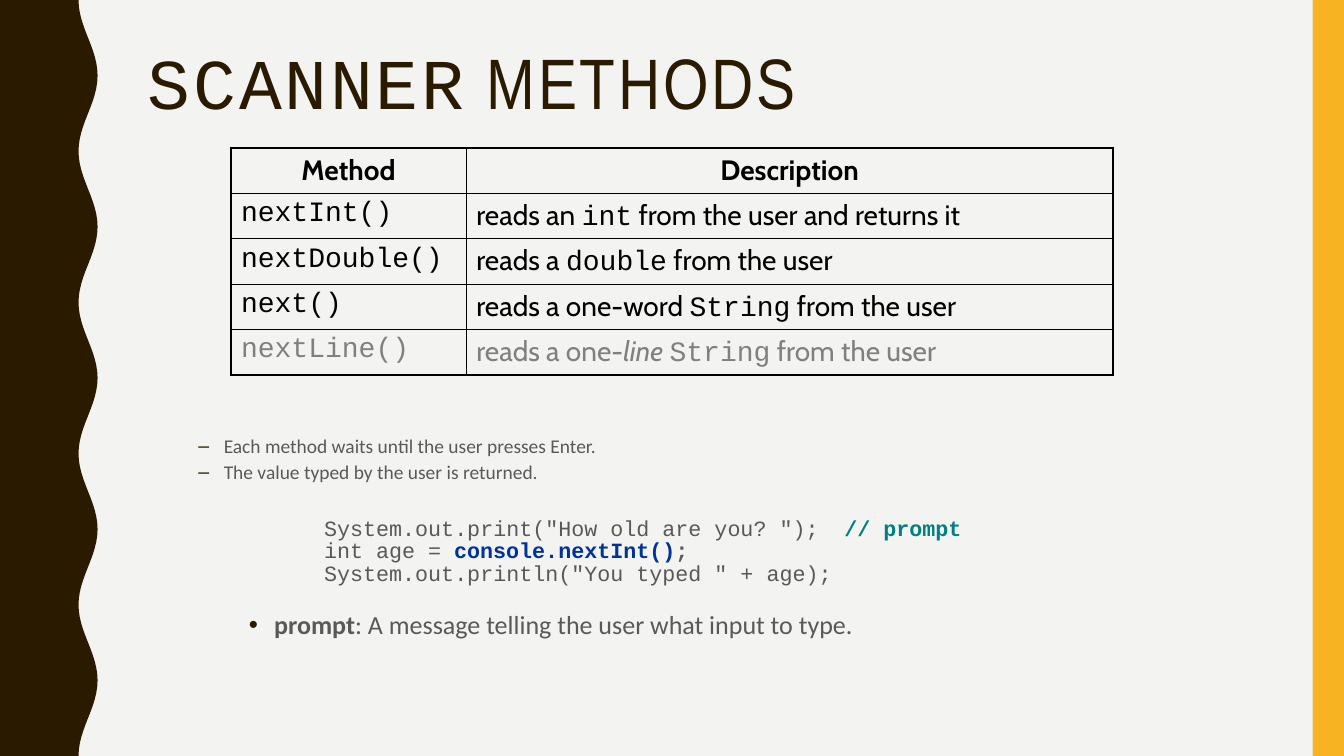
import math
from itertools import product

from lxml import etree
from pptx import Presentation
from pptx import util as u
from pptx.dml.color import RGBColor
from pptx.enum import shapes, text
from pptx.oxml import ns

BROWN = RGBColor(0x2A, 0x1A, 0x00)
GOLD = RGBColor(0xF8, 0xB3, 0x23)
PAPER = RGBColor(0xF3, 0xF3, 0xF2)
BLACK = RGBColor(0x00, 0x00, 0x00)
GRAY = RGBColor(0x80, 0x80, 0x80)
BODY = RGBColor(0x59, 0x59, 0x59)
TEAL = RGBColor(0x00, 0x80, 0x80)
BLUE = RGBColor(0x00, 0x33, 0x99)

CODE, TABLE_FONT, BODY_FONT, TITLE_FONT = "Courier New", "Cabin", "Calibri", "Arial Narrow"
WIDTH, HEIGHT = 33.87, 19.05


def add_run(paragraph, words, font, size, color, bold=False, italic=False):
    run = paragraph.add_run()
    run.text = words
    run.font.name, run.font.size = font, u.Pt(size)
    run.font.bold, run.font.italic = bold, italic
    run.font.color.rgb = color
    return run


def add_frame(slide, box):
    frame = slide.shapes.add_textbox(*map(u.Cm, box)).text_frame
    frame.word_wrap = True
    frame.margin_left = frame.margin_right = frame.margin_top = frame.margin_bottom = 0
    return frame


def paint(shape, color):
    shape.shadow.inherit = False
    shape.fill.solid()
    shape.fill.fore_color.rgb = color
    shape.line.fill.background()


def draw_wave(slide, box):
    """Left band whose right edge swings five times down the slide."""
    left, top, width, height = box
    swing, steps = 0.24, 120
    edge = []
    for step in range(steps + 1):
        bend = math.cos(2 * math.pi * 5 * step / steps)
        edge.append((u.Cm(left + width - swing * (1 + bend)),
                     u.Cm(top + height * step / steps)))
    wave = slide.shapes.build_freeform(u.Cm(left), u.Cm(top), scale=1.0)
    wave.add_line_segments(edge + [(u.Cm(left), u.Cm(top + height))], close=True)
    paint(wave.convert_to_shape(), BROWN)


def draw_stripe(slide, box):
    paint(slide.shapes.add_shape(shapes.MSO_SHAPE.RECTANGLE, *map(u.Cm, box)), GOLD)


def draw_title(slide, box):
    heading = add_frame(slide, box).paragraphs[0]
    heading.line_spacing = 0.9
    for words, font in (("SCANNER", CODE), (" METHODS", TITLE_FONT)):
        run = add_run(heading, words, font, 51, BROWN)
        run.font._element.set("spc", "200")


def set_borders(cell, widths):
    """Widths in points for the left, right, top and bottom edges."""
    properties = cell._tc.get_or_add_tcPr()
    for place, (side, width) in enumerate(zip("LRTB", widths)):
        line = etree.Element(ns.qn(f"a:ln{side}"), w=str(u.Pt(width)))
        fill = etree.SubElement(line, ns.qn("a:solidFill"))
        etree.SubElement(fill, ns.qn("a:srgbClr"), val=str(BLACK))
        properties.insert(place, line)


def draw_methods(slide, box):
    # Each cell is a list of (words, font, italic)
    descriptions = {
        "nextInt()": [("reads an ", TABLE_FONT, False), ("int", CODE, False),
                      (" from the user and returns it", TABLE_FONT, False)],
        "nextDouble()": [("reads a ", TABLE_FONT, False), ("double", CODE, False),
                         (" from the user", TABLE_FONT, False)],
        "next()": [("reads a one-word ", TABLE_FONT, False), ("String", CODE, False),
                   (" from the user", TABLE_FONT, False)],
        "nextLine()": [("reads a one-", TABLE_FONT, False), ("line ", TABLE_FONT, True),
                       ("String", CODE, False), (" from the user", TABLE_FONT, False)],
    }
    rows = [[[("Method", TABLE_FONT, False)], [("Description", TABLE_FONT, False)]]]
    rows += [[[(name, CODE, False)], parts] for name, parts in descriptions.items()]
    last_row, last_col = len(rows) - 1, 1

    methods = slide.shapes.add_table(len(rows), 2, *map(u.Cm, box)).table
    methods.first_row = methods.horz_banding = False
    methods.columns[0].width = u.Cm(5.93)
    methods.columns[1].width = u.Cm(box[2] - 5.93)
    for r, c in product(range(len(rows)), range(2)):
        cell = methods.cell(r, c)
        cell.fill.background()
        outer = (c == 0, c == last_col, r == 0, r == last_row)
        set_borders(cell, [2.25 if edge else 1 for edge in outer])
        paragraph = cell.text_frame.paragraphs[0]
        if r == 0:
            paragraph.alignment = text.PP_ALIGN.CENTER
        color = GRAY if r == last_row else BLACK
        for words, font, italic in rows[r][c]:
            add_run(paragraph, words, font, 20, color, r == 0, italic)


def set_indent(paragraph, margin, bullet=None):
    properties = paragraph._p.get_or_add_pPr()
    properties.set("marL", str(u.Cm(margin)))
    if bullet:
        properties.set("indent", str(u.Cm(-0.64)))
        color = etree.SubElement(properties, ns.qn("a:buClr"))
        etree.SubElement(color, ns.qn("a:srgbClr"), val=str(BROWN))
        etree.SubElement(properties, ns.qn("a:buFont"), typeface="Arial")
        etree.SubElement(properties, ns.qn("a:buChar"), char=bullet)


def draw_notes(slide, box):
    # Style: font, size, line pitch, left margin, bullet
    note = (BODY_FONT, 13.9, 18.6, 1.91, "–")
    code = (CODE, 15.5, 16.4, 4.44, None)
    term = (BODY_FONT, 18.6, 22.7, 3.18, "•")
    # Line: style, space before, runs of (words, color, bold)
    lines = [
        (note, 0, [("Each method waits until the user presses Enter.", BODY, False)]),
        (note, 0, [("The value typed by the user is returned.", BODY, False)]),
        (code, 24, [('System.out.print("How old are you? ");  ', BODY, False),
                    ("// prompt", TEAL, True)]),
        (code, 0, [("int age = ", BODY, False), ("console.nextInt()", BLUE, True),
                   (";", BODY, True)]),
        (code, 0, [('System.out.println("You typed " + age);', BODY, False)]),
        (term, 15.6, [("prompt", BODY, True),
                      (": A message telling the user what input to type.", BODY, False)]),
    ]
    frame = add_frame(slide, box)
    for number, (style, gap, parts) in enumerate(lines):
        font, size, pitch, margin, bullet = style
        paragraph = frame.add_paragraph() if number else frame.paragraphs[0]
        paragraph.line_spacing, paragraph.space_before = u.Pt(pitch), u.Pt(gap)
        set_indent(paragraph, margin, bullet)
        for words, color, bold in parts:
            add_run(paragraph, words, font, size, color, bold)


deck = Presentation()
deck.slide_width, deck.slide_height = u.Cm(WIDTH), u.Cm(HEIGHT)
scanner = deck.slides.add_slide(deck.slide_layouts[6])
scanner.background.fill.solid()
scanner.background.fill.fore_color.rgb = PAPER

draw_wave(scanner, (0, 0, 2.46, HEIGHT))
draw_stripe(scanner, (WIDTH - 0.79, 0, 0.79, HEIGHT))
draw_title(scanner, (3.73, 1.2, 27.8, 2.2))
draw_methods(scanner, (5.82, 3.73, 22.23, 5.72))
draw_notes(scanner, (3.73, 10.88, 27.8, 5.45))
deck.save("out.pptx")
